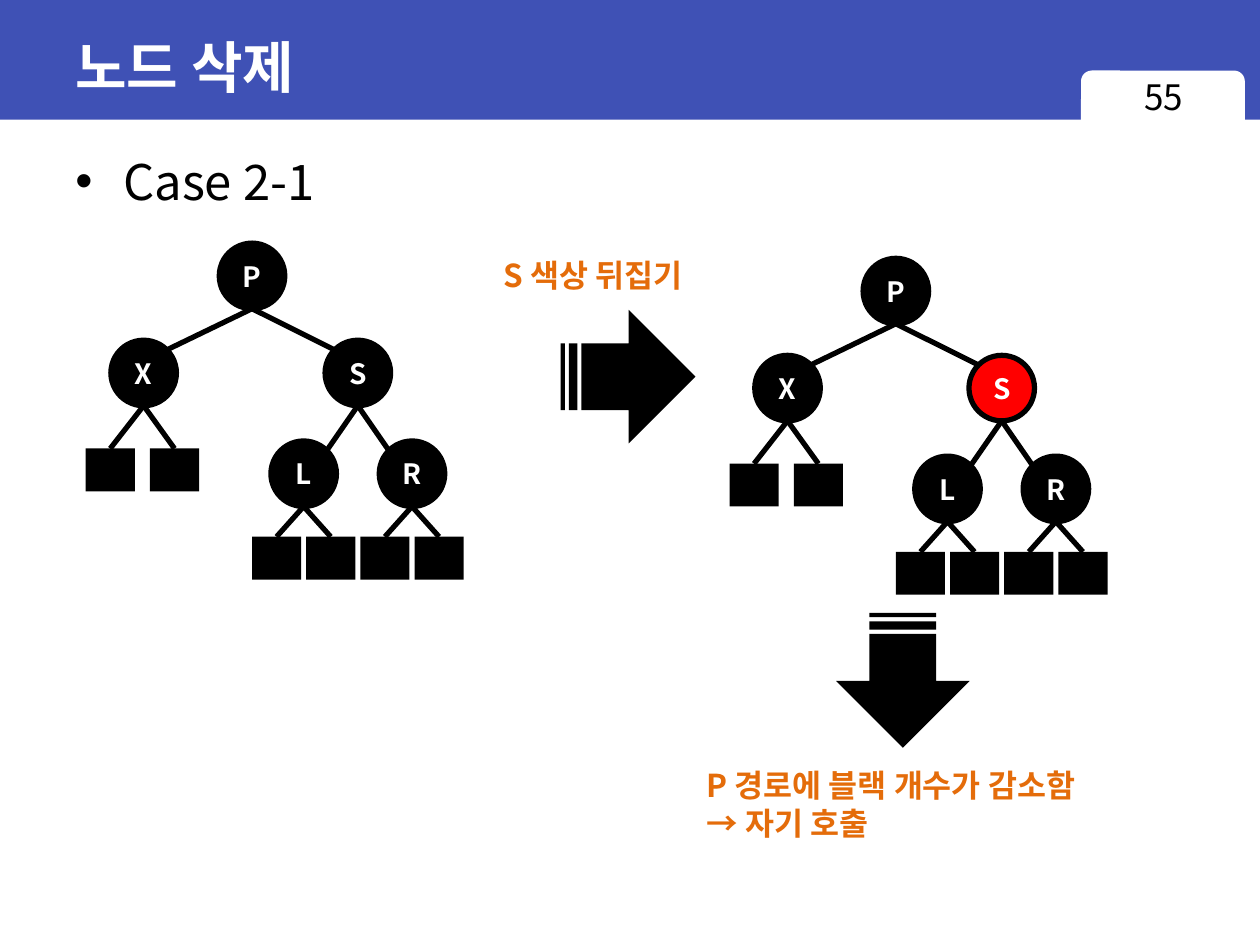
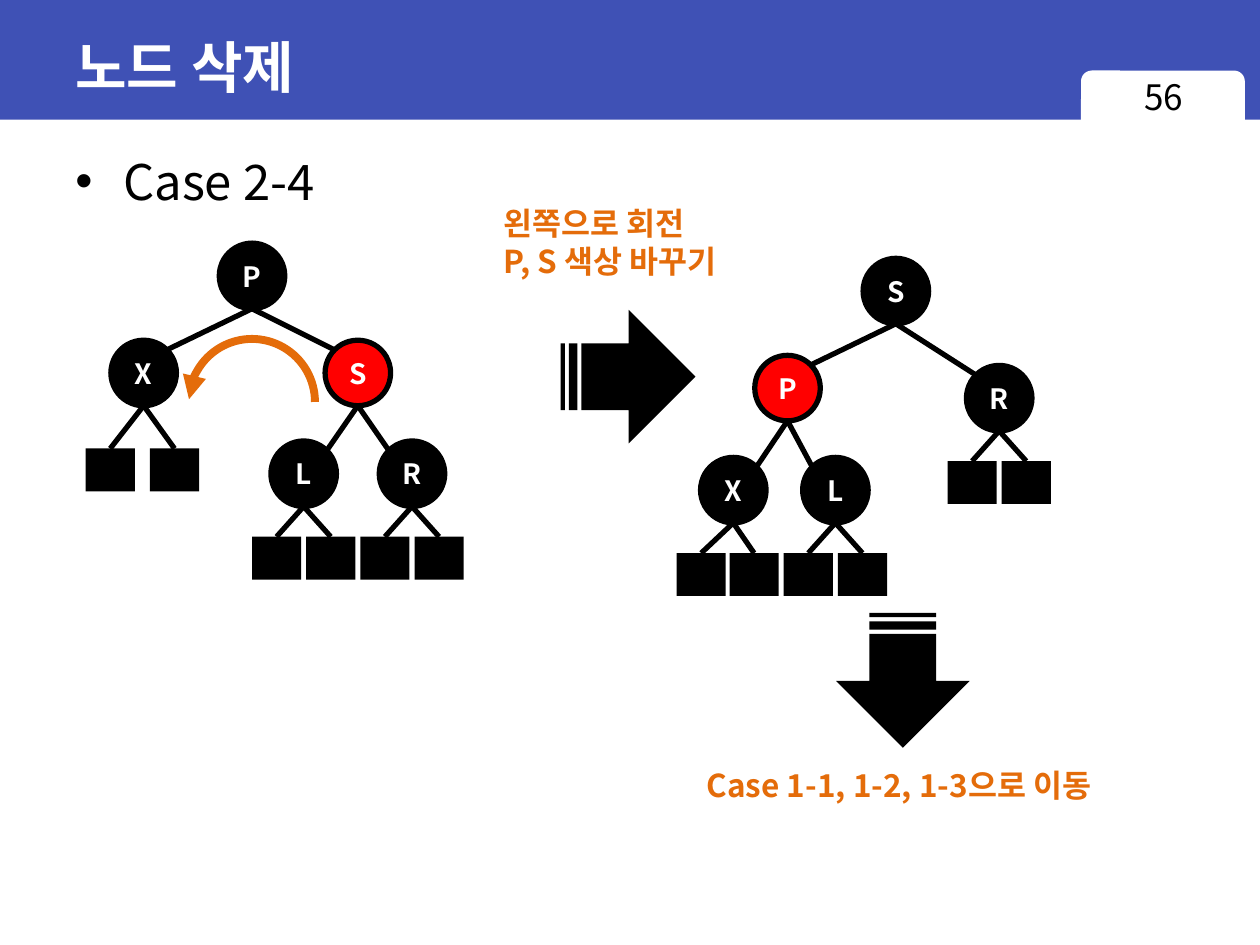
from dataclasses import dataclass

from lxml import etree
from pptx import Presentation
from pptx import util as u
from pptx.dml.color import RGBColor
from pptx.enum import shapes, text
from pptx.oxml.ns import qn

COLUMNS, ROWS = 10, 7.5
CELL = u.Inches(1)
INDIGO, WHITE, BLACK, RED, ORANGE = "3F51B5", "FFFFFF", "000000", "FF0000", "E46C0A"
FONT = "Noto Sans CJK KR"
NODE = 0.52
NIL_WIDTH, NIL_HEIGHT = 0.39, 0.34
DIAGONAL = NODE / 2 * 0.7
KIND = shapes.MSO_SHAPE


@dataclass
class Node:
    label: str
    dx: float = 0
    dy: float = 0
    children: tuple = ()
    color: str = BLACK


@dataclass
class Nil:
    dx: float
    dy: float = 0.67


def grid(*lengths):
    return [round(length * CELL) for length in lengths]


def rgb(color):
    return RGBColor.from_string(color)


def write(frame, content, size=18, color=BLACK, font=FONT, bold=False, align="LEFT",
          anchor="TOP", wrap=True, inset=0.1, bullet=None, tracking=None):
    frame.word_wrap = wrap
    frame.vertical_anchor = getattr(text.MSO_ANCHOR, anchor)
    frame.margin_left = frame.margin_right = u.Inches(inset)
    frame.text = content
    for paragraph in frame.paragraphs:
        paragraph.alignment = getattr(text.PP_ALIGN, align)
        if bullet:
            paragraph.space_before = u.Pt(size * 0.2)
            properties = paragraph._p.get_or_add_pPr()
            hanging = u.Inches(0.38)
            properties.set("marL", str(hanging))
            properties.set("indent", str(-hanging))
            etree.SubElement(properties, qn("a:buFont")).set("typeface", "Arial")
            etree.SubElement(properties, qn("a:buChar")).set("char", bullet)
        for run in paragraph.runs:
            run.font.size, run.font.bold, run.font.name = u.Pt(size), bold, font
            run.font.color.rgb = rgb(color)
            letters = run._r.get_or_add_rPr()
            etree.SubElement(letters, qn("a:ea")).set("typeface", FONT)
            if tracking:
                letters.set("spc", str(tracking))


def add_text(slide, place, content, **style):
    box = slide.shapes.add_textbox(*grid(*place))
    write(box.text_frame, content, **style)
    return box


def add_block(slide, kind, place, fill=None, line=None, weight=3):
    block = slide.shapes.add_shape(kind, *grid(*place))
    block.shadow.inherit = False
    if fill:
        block.fill.solid()
        block.fill.fore_color.rgb = rgb(fill)
    else:
        block.fill.background()
    if line:
        block.line.color.rgb = rgb(line)
        block.line.width = u.Pt(weight)
    else:
        block.line.fill.background()
    return block


def add_edge(slide, start, end):
    edge = slide.shapes.add_connector(shapes.MSO_CONNECTOR.STRAIGHT, *grid(*start, *end))
    edge.line.color.rgb = rgb(BLACK)
    edge.line.width = u.Pt(3)
    etree.SubElement(edge._element.spPr, qn("a:effectLst"))


def add_tree(slide, node, x, y):
    for child in node.children:
        child_x, child_y = x + child.dx, y + child.dy
        if isinstance(child, Nil):
            top = child_y - NIL_HEIGHT / 2
            add_block(slide, KIND.RECTANGLE,
                      (child_x - NIL_WIDTH / 2, top, NIL_WIDTH, NIL_HEIGHT), BLACK)
            joint = child_x, top
        else:
            add_tree(slide, child, child_x, child_y)
            toward_parent = -DIAGONAL if child.dx > 0 else DIAGONAL
            joint = child_x + toward_parent, child_y - DIAGONAL
        add_edge(slide, (x, y + NODE / 2), joint)
    circle = add_block(slide, KIND.OVAL, (x - NODE / 2, y - NODE / 2, NODE, NODE),
                       node.color, BLACK)
    write(circle.text_frame, node.label, size=16, color=WHITE, bold=True, align="CENTER",
          anchor="MIDDLE", inset=0, tracking=-150 if node.label == "R" else None)


def nils(left=-0.215, right=0.215, dy=0.67):
    return Nil(left, dy), Nil(right, dy)


def sibling_tree(sibling_color):
    return Node("P", children=(
        Node("X", -0.86, 0.77, nils(-0.265, 0.245, 0.77)),
        Node("S", 0.84, 0.77, (Node("L", -0.43, 0.8, nils()), Node("R", 0.43, 0.8, nils())),
             sibling_color)))


def rotated_tree():
    return Node("S", children=(
        Node("P", -0.86, 0.77, (Node("X", -0.43, 0.81, nils(-0.255, 0.165)),
                                Node("L", 0.38, 0.81, nils())), RED),
        Node("R", 0.82, 0.85, nils())))


def add_rotation_arc(slide):
    arc = add_block(slide, KIND.ARC, (1.5, 2.69, 1, 1), line=ORANGE, weight=4.5)
    arc.adjustments[0], arc.adjustments[1] = 109.46, 0
    etree.SubElement(arc.line._get_or_add_ln(), qn("a:headEnd")).set("type", "triangle")


def add_caption(slide, place, content):
    caption = add_text(slide, place, content, color=ORANGE, bold=True, wrap=False)
    caption.text_frame.auto_size = text.MSO_AUTO_SIZE.SHAPE_TO_FIT_TEXT


def add_frame(slide, number, case):
    add_block(slide, KIND.RECTANGLE, (0, 0, COLUMNS, 0.95), INDIGO)
    add_block(slide, KIND.ROUNDED_RECTANGLE, (8.58, 0.56, 1.3, 0.51), WHITE)
    add_text(slide, (0.5, 0.11, 9, 0.83), "노드 삭제", size=32, color=WHITE, font="Arial",
             bold=True, anchor="MIDDLE")
    add_text(slide, (0.5, 1.15, 9.38, 6.14), case, size=28, bullet="•")
    add_text(slide, (8.58, 0.55, 1.31, 0.52), str(number), size=20, align="CENTER")


def add_case(deck, number, case, before, after, step, step_place, result, result_place):
    slide = deck.slides.add_slide(deck.slide_layouts[6])
    add_frame(slide, number, case)
    add_tree(slide, before, 2, 2.19)
    add_tree(slide, after, 7.11, 2.31)
    for left, top, turn in ((4.45, 2.46, 0), (6.63, 4.87, 90)):
        arrow = add_block(slide, KIND.STRIPED_RIGHT_ARROW, (left, top, 1.07, 1.06), BLACK)
        arrow.rotation = turn
    add_caption(slide, step_place, step)
    add_caption(slide, result_place, result)
    return slide


def main():
    deck = Presentation()
    deck.slide_width, deck.slide_height = grid(COLUMNS, ROWS)
    add_case(deck, 55, "Case 2-1", sibling_tree(BLACK), sibling_tree(RED),
             "S 색상 뒤집기", (3.9, 1.98, 1.78, 0.4),
             "P 경로에 블랙 개수가 감소함\n→ 자기 호출", (5.51, 6.03, 3.49, 0.71))
    rotation = add_case(deck, 56, "Case 2-4", sibling_tree(RED), rotated_tree(),
                        "왼쪽으로 회전\nP, S 색상 바꾸기", (3.9, 1.57, 2.05, 0.71),
                        "Case 1-1, 1-2, 1-3으로 이동", (5.51, 6.03, 3.45, 0.4))
    add_rotation_arc(rotation)
    deck.save("out.pptx")


if __name__ == "__main__":
    main()
